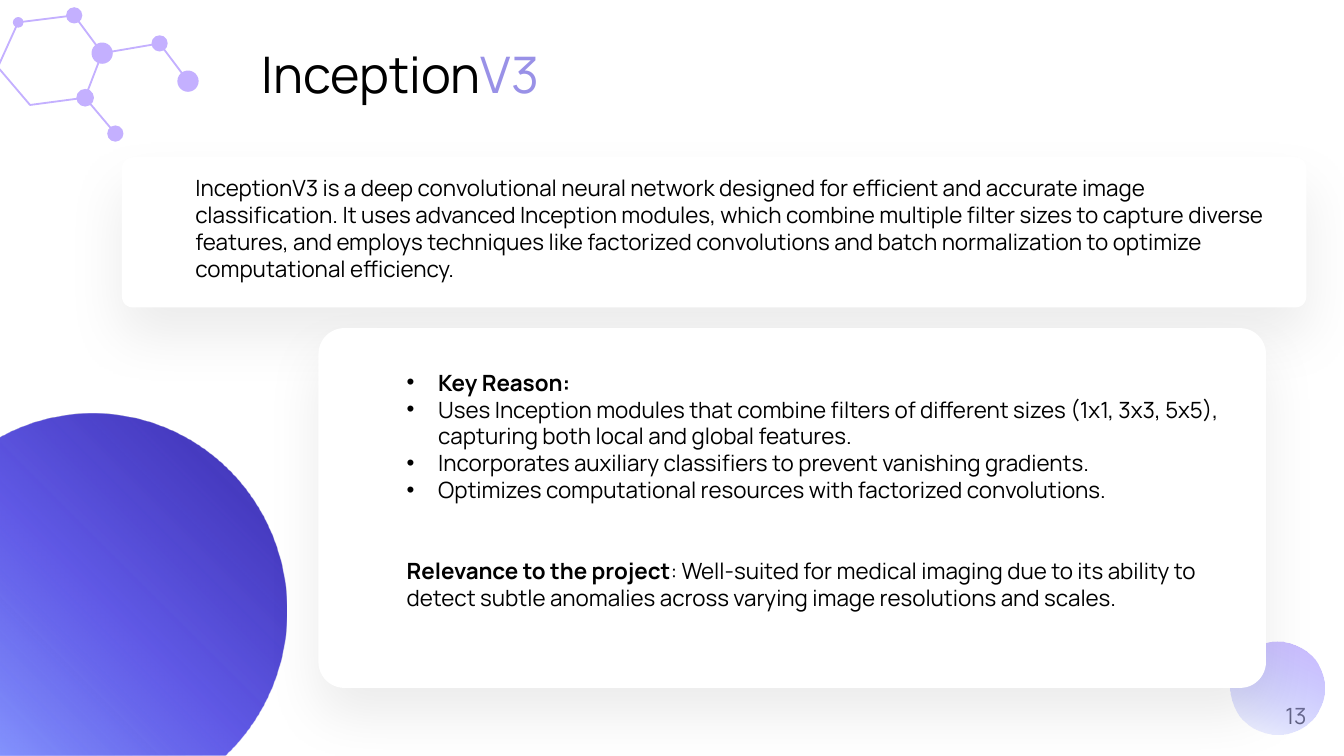
from math import cos, radians, sin

from lxml.etree import SubElement as Sub
from pptx import Presentation
from pptx.dml.color import RGBColor as RGB
from pptx.enum.shapes import MSO_CONNECTOR as Conn, MSO_SHAPE as Kind
from pptx.enum.text import MSO_ANCHOR as Anchor, PP_ALIGN as Align
from pptx.oxml.ns import qn
from pptx.util import Pt

FONT, BLACK, LILAC = "Manrope", "000000", "C4B0FF"


def tint(code):
    """Turn a hex string into a colour."""
    return RGB.from_string(code)


def shade(home, code, alpha):
    """Add a colour with its opacity in percent."""
    color = Sub(home, qn("a:srgbClr"), val=code)
    Sub(color, qn("a:alpha"), val=str(alpha * 1000))


def plain(shape, fill=None):
    """Strip line and shadow, and fill with one colour if given."""
    shape.shadow.inherit = False
    shape.line.fill.background()
    if fill:
        shape.fill.solid()
        shape.fill.fore_color.rgb = tint(fill)
    return shape


def blend(shape, stops, angle):
    """Fill with a linear gradient of (place, colour, opacity) stops."""
    plain(shape).fill.gradient()
    shape.fill.gradient_angle = angle
    group = shape._element.spPr.find(".//" + qn("a:gsLst"))
    for old in list(group):
        group.remove(old)
    for place, code, alpha in stops:
        shade(Sub(group, qn("a:gs"), pos=str(place * 1000)), code, alpha)


def trace(slide, spots, close=True):
    """Draw an outline through points."""
    points = [(Pt(x), Pt(y)) for x, y in spots]
    maker = slide.shapes.build_freeform(*points[0])
    maker.add_line_segments(points[1:], close=close)
    return maker.convert_to_shape()


def stroke(line):
    """Give a line the colour and width of a bond."""
    line.color.rgb = tint(LILAC)
    line.width = Pt(1.3)


def write(slide, box, paras, size=16, color=BLACK, align=Align.LEFT, anchor=Anchor.TOP):
    """Place paragraphs given as dicts of runs, bullet and space before."""
    frame = slide.shapes.add_textbox(*map(Pt, box)).text_frame
    frame.word_wrap = True
    frame.vertical_anchor = anchor
    for i, item in enumerate(paras):
        para = frame.add_paragraph() if i else frame.paragraphs[0]
        para.alignment = align
        if item.get("bullet"):
            props = para._p.get_or_add_pPr()
            props.set("marL", str(Pt(22.5)))
            props.set("indent", str(-Pt(22.5)))
            Sub(props, qn("a:buFont"), typeface="Arial")
            Sub(props, qn("a:buChar"), char="•")
        if "before" in item:
            para.space_before = Pt(item["before"])
        for text, style in item["runs"]:
            run = para.add_run()
            run.text = text
            font = run.font
            font.name, font.size = FONT, Pt(size)
            font.bold = style.get("bold", False)
            font.color.rgb = tint(style.get("color", color))


def card(slide, box):
    """Draw a white rounded card with a soft shadow."""
    shape = plain(slide.shapes.add_shape(Kind.ROUNDED_RECTANGLE, *map(Pt, box)), "FFFFFF")
    shape.adjustments[0] = 0.072
    effects = shape._element.spPr.find(qn("a:effectLst"))
    glow = Sub(effects, qn("a:outerShdw"), blurRad=str(Pt(40)), dist=str(Pt(20)),
               dir="5400000", algn="t", rotWithShape="0")
    shade(glow, BLACK, 7)


def disc(slide, box):
    """Draw the large disc, cut by the left and bottom slide edges."""
    left, top, wide, high = box
    mid, level = left + 71.5, top + 141
    arc = [(mid + 138.5 * cos(radians(a)), level + 141 * sin(radians(a)))
           for a in range(-121, 48)]
    ends = [(left, top + high), (left, arc[0][1])]
    blend(trace(slide, arc + ends),
          [(0, "11009E", 82), (60, "4942E4", 86), (100, "8696FE", 100)], 225)


def ball(slide, box):
    """Draw the small fading disc over the page number."""
    shape = slide.shapes.add_shape(Kind.OVAL, *map(Pt, box))
    blend(shape, [(0, "8696FE", 10), (100, LILAC, 90)], 65)


def web(slide, box):
    """Draw the molecule of bonds and round atoms."""
    left, top = box[:2]
    atoms = [(left + x, top + y, r) for x, y, r in (
        (13, 16, 3.8), (53, 11, 5.8), (73, 38, 7.6), (60.8, 69.8, 6.3),
        (82.4, 95.4, 5.8), (114, 31, 5.8), (134.3, 58, 7.6))]
    nodes = [atom[:2] for atom in atoms]
    ring = nodes[:4] + [(left + 21.5, top + 75), (left - 1.5, top + 48)]
    chain = [nodes[2], nodes[5], nodes[6]]
    for spots, close in ((ring, True), (chain, False)):
        shape = trace(slide, spots, close)
        shape.shadow.inherit = False
        shape.fill.background()
        stroke(shape.line)
    bond = slide.shapes.add_connector(Conn.STRAIGHT, *map(Pt, nodes[3] + nodes[4]))
    stroke(bond.line)
    Sub(bond._element.spPr, qn("a:effectLst"))
    for x, y, r in atoms:
        spot = (x - r, y - r, 2 * r, 2 * r)
        plain(slide.shapes.add_shape(Kind.OVAL, *map(Pt, spot)), LILAC)


def intro(slide, box):
    """Place the card that describes the model."""
    left, top, wide, high = box
    card(slide, box)
    text = ("InceptionV3 is a deep convolutional neural network designed for efficient and "
            "accurate image classification. It uses advanced Inception modules, which combine "
            "multiple filter sizes to capture diverse features, and employs techniques like "
            "factorized convolutions and batch normalization to optimize computational efficiency.")
    write(slide, (left + 45.4, top + 8.6, 781.2, 85), [{"runs": [(text, {})]}])


def detail(slide, box):
    """Place the card with reasons and relevance."""
    left, top, wide, high = box
    card(slide, box)
    points = [
        ("Key Reason:", {"bold": True}),
        ("Uses Inception modules that combine filters of different sizes (1x1, 3x3, 5x5), "
         "capturing both local and global features.", {}),
        ("Incorporates auxiliary classifiers to prevent vanishing gradients.", {}),
        ("Optimizes computational resources with factorized convolutions.", {}),
    ]
    paras = [{"runs": [point], "bullet": True} for point in points]
    paras.append({"before": 38.4, "runs": [
        ("Relevance to the project", {"bold": True}),
        (": Well-suited for medical imaging due to its ability to detect subtle anomalies "
         "across varying image resolutions and scales.", {})]})
    write(slide, (left + 55.9, top + 25.5, 601.2, 201), paras)


def main():
    """Build the slide and save it."""
    deck = Presentation()
    deck.slide_width, deck.slide_height = Pt(960), Pt(540)
    slide = deck.slides.add_slide(deck.slide_layouts[6])
    write(slide, (724.3, 496.8, 216, 28.8), [{"runs": [("13", {})]}],
          color="404040", align=Align.RIGHT, anchor=Anchor.MIDDLE)
    disc(slide, (-5, 295.6, 210, 244.4))
    ball(slide, (879, 458, 67, 67))
    write(slide, (180, 27.4, 432.7, 51),
          [{"runs": [("Inception", {}), ("V3", {"color": "9991E7"})]}], size=36)
    intro(slide, (87.1, 112.3, 846, 107.3))
    web(slide, (0, 0, 142, 102))
    detail(slide, (227.5, 234.4, 676.8, 257))
    deck.save("out.pptx")


if __name__ == "__main__":
    main()
